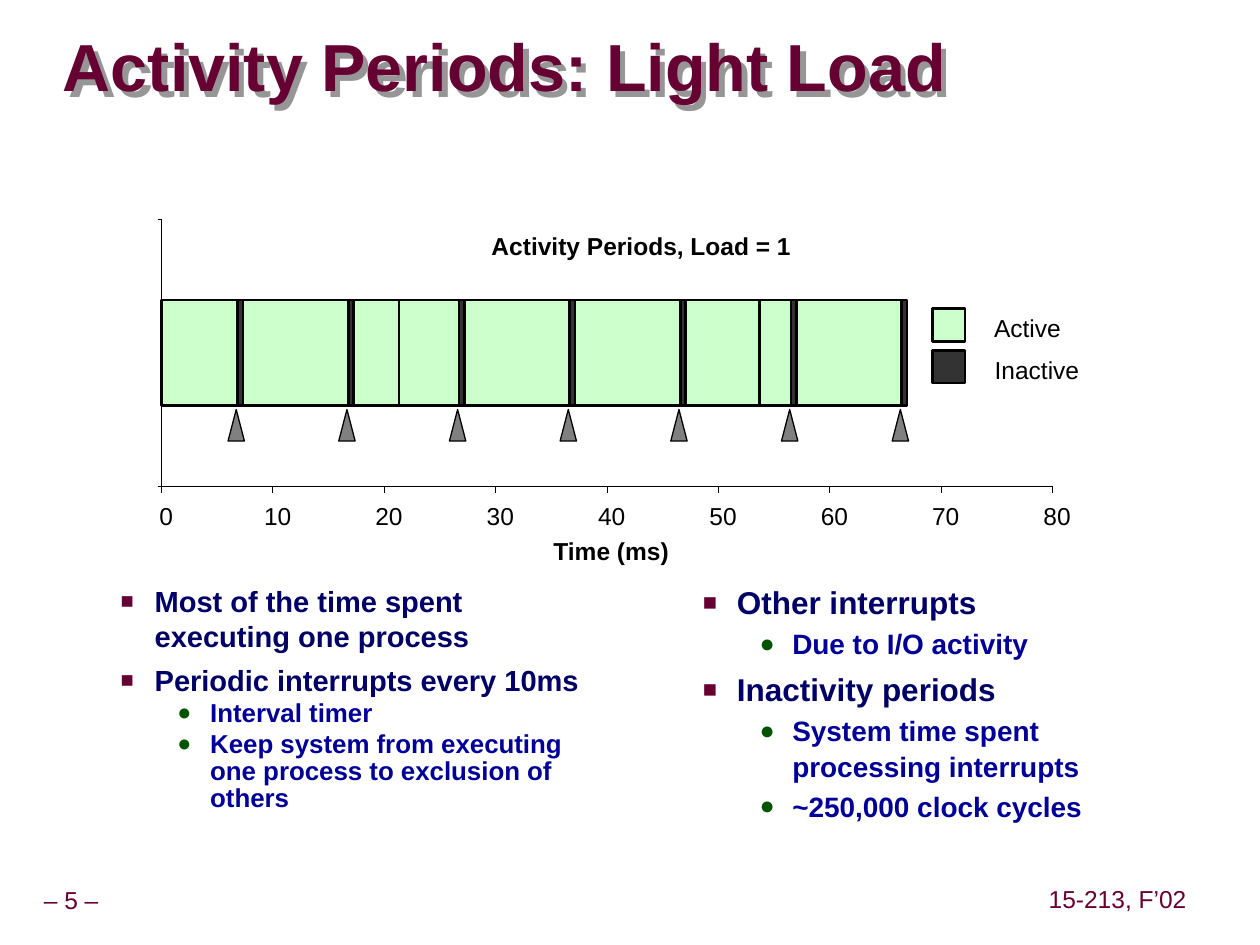
from lxml.etree import SubElement
from pptx import Presentation
from pptx.dml.color import RGBColor
from pptx.enum.shapes import MSO_CONNECTOR, MSO_SHAPE
from pptx.enum.text import MSO_ANCHOR, MSO_AUTO_SIZE, PP_ALIGN
from pptx.oxml.ns import qn
from pptx.util import Inches, Pt

COLORS = {
    "maroon": "660033", "navy": "000066", "blue": "000099", "green": "005400",
    "black": "000000", "active": "CCFFCC", "inactive": "333333",
    "marker": "808080", "shadow": "969696",
}
FONT = "Arial"

TITLE = "Activity Periods: Light Load"
FOOTERS = [("– 5 –", -0.09, 7.0, 1.31), ("15-213, F’02", 8.27, 6.99, 1.2)]
LEGEND = [("Active", "active", 0.55), ("Inactive", "inactive", 0.7)]

# Times in ms
TIMER_INTERRUPTS = [6.85 + 9.94 * number for number in range(7)]
OTHER_INTERRUPTS = [21.35, 53.75]
INACTIVE_TIME = 0.5
AXIS_TIMES = range(0, 81, 10)

# Each column: left edge, (size, line spacing) by level, (level, text) items
COLUMNS = [
    (0.32, {1: (16.6, 1.0), 2: (14.8, 0.87)}, [
        (1, "Most of the time spent executing one process"),
        (1, "Periodic interrupts every 10ms"),
        (2, "Interval timer"),
        (2, "Keep system from executing one process to exclusion of others"),
    ]),
    (4.94, {1: (18, 1.0), 2: (16, 1.07)}, [
        (1, "Other interrupts"),
        (2, "Due to I/O activity"),
        (1, "Inactivity periods"),
        (2, "System time spent processing interrupts"),
        (2, "~250,000 clock cycles"),
    ]),
]
LEVELS = {
    1: dict(color="navy", bullet="■", bullet_color="maroon", percent=75,
            left=0.81, indent=-0.27, before=5.6),
    2: dict(color="blue", bullet="●", bullet_color="green", percent=90,
            left=1.25, indent=-0.26, before=2),
}

AXIS_LEFT, AXIS_RIGHT, AXIS_TOP, AXIS_BOTTOM = 1.28, 8.35, 1.74, 3.86
BAR_TOP, BAR_HEIGHT = 2.38, 0.84
LABEL_HEIGHT = 0.21
MARKER_WIDTH, MARKER_HEIGHT = 0.13, 0.25


def rgb(name):
    return RGBColor.from_string(COLORS[name])


def time_x(time):
    return AXIS_LEFT + (AXIS_RIGHT - AXIS_LEFT) * time / AXIS_TIMES[-1]


def set_font(font, size, color, bold=False):
    values = {"name": FONT, "size": Pt(size), "bold": bold}
    for name, value in values.items():
        setattr(font, name, value)
    font.color.rgb = rgb(color)


def add_frame(slide, left, top, width, height, margins=(0, 0), **options):
    shape = slide.shapes.add_textbox(*map(Inches, (left, top, width, height)))
    side, edge = map(Inches, margins)
    values = {"margin_left": side, "margin_right": side, "margin_top": edge,
              "margin_bottom": edge, "word_wrap": True} | options
    for name, value in values.items():
        setattr(shape.text_frame, name, value)
    return shape


def add_label(slide, text, left, top, width, height=LABEL_HEIGHT, color="black",
              bold=False, **options):
    shape = add_frame(slide, left, top, width, height, word_wrap=False,
                      auto_size=MSO_AUTO_SIZE.SHAPE_TO_FIT_TEXT, **options)
    paragraph = shape.text_frame.paragraphs[0]
    paragraph.text = text
    paragraph.alignment = PP_ALIGN.CENTER
    paragraph.line_spacing = 0.9
    set_font(paragraph.runs[0].font, 14, color, bold)


def add_box(slide, left, top, width, height, fill, line=1.5, kind=MSO_SHAPE.RECTANGLE):
    shape = slide.shapes.add_shape(kind, *map(Inches, (left, top, width, height)))
    shape.shadow.inherit = False
    shape.fill.solid()
    shape.fill.fore_color.rgb = rgb(fill)
    shape.line.color.rgb = rgb("black")
    shape.line.width = Pt(line)


def add_line(slide, *ends):
    line = slide.shapes.add_connector(MSO_CONNECTOR.STRAIGHT, *map(Inches, ends))
    line.line.color.rgb = rgb("black")
    line.line.width = Pt(0.1)
    SubElement(line._element.spPr, qn("a:effectLst"))


def add_title(slide):
    shape = add_frame(slide, 0.5, 0.25, 7.53, 0.63,
                      vertical_anchor=MSO_ANCHOR.MIDDLE)
    paragraph = shape.text_frame.paragraphs[0]
    paragraph.text = TITLE
    paragraph.line_spacing = 0.87
    set_font(paragraph.runs[0].font, 38, "maroon", True)
    effects = SubElement(shape._element.spPr, qn("a:effectLst"))
    shadow = SubElement(effects, qn("a:outerShdw"), dist=str(Inches(0.06)),
                        dir="2700000", algn="ctr", rotWithShape="0")
    SubElement(shadow, qn("a:srgbClr"), val=COLORS["shadow"])


def add_bullet(paragraph, style):
    properties = paragraph._p.get_or_add_pPr()
    properties.set("marL", str(Inches(style["left"])))
    properties.set("indent", str(Inches(style["indent"])))
    color = SubElement(properties, qn("a:buClr"))
    SubElement(color, qn("a:srgbClr"), val=COLORS[style["bullet_color"]])
    SubElement(properties, qn("a:buSzPct"), val=str(style["percent"] * 1000))
    SubElement(properties, qn("a:buFont"), typeface=FONT)
    SubElement(properties, qn("a:buChar"), char=style["bullet"])


def add_column(slide, left, sizes, items):
    frame = add_frame(slide, left, 4.58, 4.46, 2.24, (0.1, 0.05)).text_frame
    for index, (level, text) in enumerate(items):
        paragraph = frame.add_paragraph() if index else frame.paragraphs[0]
        style = LEVELS[level]
        size, spacing = sizes[level]
        add_bullet(paragraph, style)
        paragraph.level = level - 1
        paragraph.line_spacing = spacing
        paragraph.space_before = Pt(style["before"] if index else 0)
        paragraph.add_run().text = text
        set_font(paragraph.runs[0].font, size, style["color"], True)


def add_periods(slide):
    """Draw the bar, cut at each interrupt, with idle time after timer ones."""
    start = 0
    for time in sorted(TIMER_INTERRUPTS + OTHER_INTERRUPTS):
        periods = [(start, time, "active")]
        if time in TIMER_INTERRUPTS:
            periods.append((time, time + INACTIVE_TIME, "inactive"))
        for begin, end, state in periods:
            add_box(slide, time_x(begin), BAR_TOP, time_x(end) - time_x(begin),
                    BAR_HEIGHT, state)
        start = periods[-1][1]


def add_axes(slide):
    add_line(slide, AXIS_LEFT, AXIS_BOTTOM, AXIS_RIGHT, AXIS_BOTTOM)
    add_line(slide, AXIS_LEFT, AXIS_TOP, AXIS_LEFT, AXIS_BOTTOM)
    for y in (AXIS_TOP, AXIS_BOTTOM):
        add_line(slide, AXIS_LEFT - 0.03, y, AXIS_LEFT, y)
    for time in AXIS_TIMES:
        x = time_x(time)
        add_line(slide, x, AXIS_BOTTOM + 0.05, x, AXIS_BOTTOM)
        width = 0.11 * len(str(time))
        add_label(slide, str(time), x + 0.04 - width / 2, 4.0, width)
    add_label(slide, "Activity Periods, Load = 1", 3.9, 1.86, 2.38, bold=True)
    add_label(slide, "Time (ms)", 4.39, 4.28, 0.92, bold=True)


def main():
    presentation = Presentation()
    presentation.slide_width, presentation.slide_height = Inches(10), Inches(7.5)
    slide = presentation.slides.add_slide(presentation.slide_layouts[6])
    for text, left, top, width in FOOTERS:
        add_label(slide, text, left, top, width, 0.31, "maroon",
                  margins=(0.05, 0.05), vertical_anchor=MSO_ANCHOR.MIDDLE)
    add_title(slide)
    for column in COLUMNS:
        add_column(slide, *column)
    add_periods(slide)
    add_axes(slide)
    for time in TIMER_INTERRUPTS:
        add_box(slide, time_x(time) - 0.01 - MARKER_WIDTH / 2, 3.25, MARKER_WIDTH,
                MARKER_HEIGHT, "marker", 0.75, MSO_SHAPE.ISOSCELES_TRIANGLE)
    for row, (text, fill, width) in enumerate(LEGEND):
        top = 2.45 + 0.33 * row
        add_box(slide, 7.4, top, 0.26, 0.26, fill)
        add_label(slide, text, 7.88, top + 0.06, width)
    presentation.save("out.pptx")


if __name__ == "__main__":
    main()
